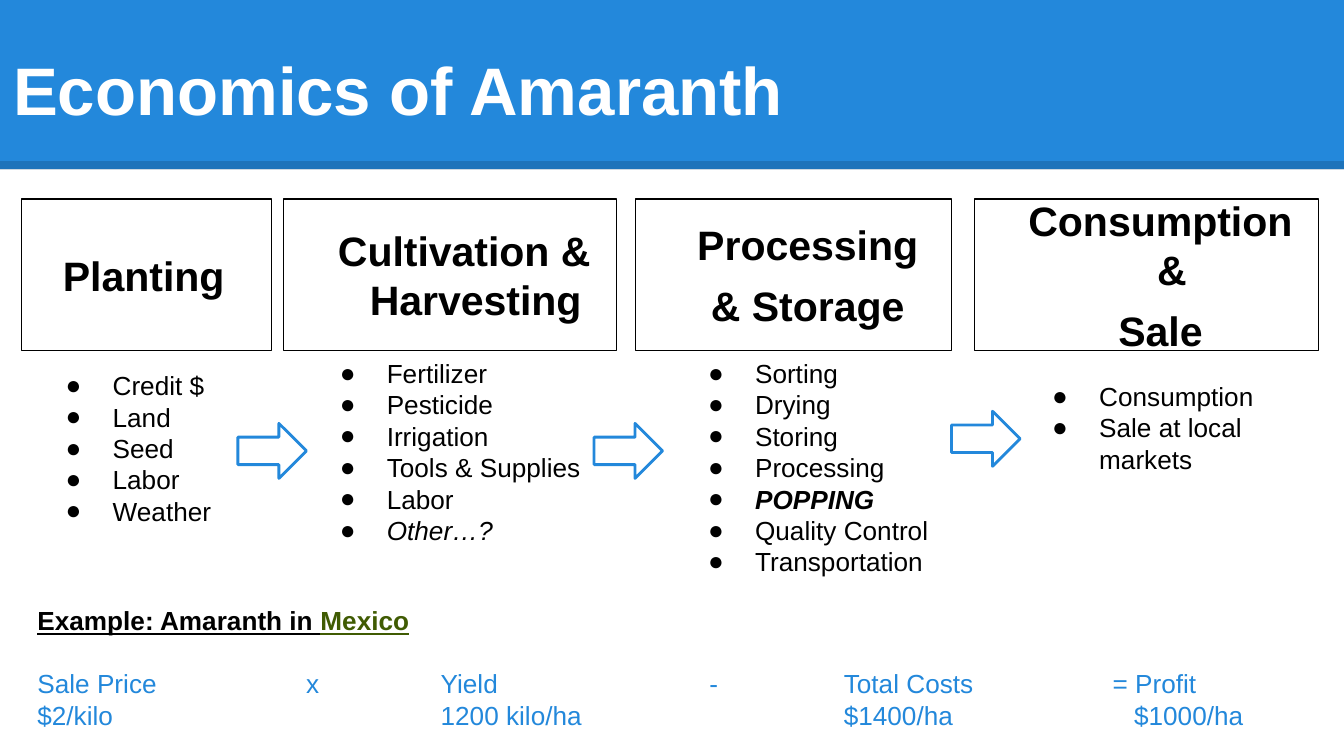
from lxml import etree
from pptx import Presentation, util as u
from pptx.dml.color import RGBColor
from pptx.enum import shapes, text
from pptx.oxml.ns import qn

PX = 9144  # EMU per px, 100 px to the inch
FONT = "Arial"
BLUE, BLACK, WHITE, GREEN = "2388DB", "000000", "FFFFFF", "405B03"
LEFT, CENTER = text.PP_ALIGN.LEFT, text.PP_ALIGN.CENTER
TOP, MIDDLE, BOTTOM = (text.MSO_ANCHOR.TOP, text.MSO_ANCHOR.MIDDLE,
                       text.MSO_ANCHOR.BOTTOM)

# Content: a line is a string, or a list of (words, format changes)
TITLE = "Economics of Amaranth"
STAGES = [
    {"heading": ["Planting"], "align": LEFT, "x": 16, "width": 186,
     "list_at": (24, 265, 177, 142),
     "items": ["Credit $", "Land", "Seed", "Labor", "Weather"]},
    {"heading": ["Cultivation & Harvesting"], "align": CENTER,
     "x": 211, "width": 248, "list_at": (228, 256, 244, 188),
     "items": ["Fertilizer", "Pesticide", "Irrigation", "Tools & Supplies",
               "Labor", [("Other…?", {"italic": True})]]},
    {"heading": ["Processing", "& Storage"], "align": CENTER,
     "x": 473, "width": 235, "list_at": (502, 256, 244, 217),
     "items": ["Sorting", "Drying", "Storing", "Processing",
               [("POPPING", {"bold": True, "italic": True})],
               "Quality Control", "Transportation"]},
    {"heading": ["Consumption &", "Sale"], "align": CENTER,
     "x": 725, "width": 256, "list_at": (758, 273, 199, 165),
     "items": ["Consumption", "Sale at local markets"]},
]
ARROWS = [(177, 315), (442, 315), (708, 306)]
EXAMPLE = [("Example: Amaranth in ", {}), ("Mexico", {"color": GREEN})]
TAB = 100
FORMULA = [  # words, last tab stop, space before
    ("Sale Price\t\tx\tYield\t\t-\tTotal Costs\t\t= Profit", 800, 17),
    ("$2/kilo\t\t\t1200 kilo/ha\t\t$1400/ha\t\t$1000/ha", 816, 0),
]


def px(value):
    return u.Emu(round(value * PX))


def rgb(code):
    return RGBColor.from_string(code)


def add_bullet(props):
    color = etree.SubElement(props, qn("a:buClr"))
    etree.SubElement(color, qn("a:srgbClr"), val=BLACK)
    etree.SubElement(props, qn("a:buFont"), typeface=FONT)
    etree.SubElement(props, qn("a:buChar"), char="●")


def add_tabs(props, stops):
    props.set("defTabSz", str(px(TAB)))
    tabs = etree.SubElement(props, qn("a:tabLst"))
    for stop in stops:
        etree.SubElement(tabs, qn("a:tab"), pos=str(px(stop)), algn="l")


def style(font, size, color, bold=False, italic=False, underline=False):
    font.name, font.size, font.color.rgb = FONT, u.Pt(size), rgb(color)
    font.bold, font.italic, font.underline = bold, italic, underline


def write(box, lines, *, size, color=BLACK, bold=False, underline=False,
          align=LEFT, anchor=TOP, margin=0, indent=0, gap=0, first_gap=0,
          bullet=False, tabs=(), more=False):
    """Fill a box with lines; more=True continues below what is there."""
    frame = box.text_frame
    frame.word_wrap, frame.vertical_anchor = True, anchor
    frame.margin_left = frame.margin_right = px(10)
    frame.margin_top = frame.margin_bottom = px(10)
    for number, line in enumerate(lines):
        fresh = number == 0 and not more
        para = frame.paragraphs[0] if fresh else frame.add_paragraph()
        para.alignment = align
        para.space_before = u.Pt(gap if number else first_gap)
        props = para._p.get_or_add_pPr()
        if indent:
            props.set("marL", str(px(margin)))
            props.set("indent", str(px(indent)))
        if bullet:
            add_bullet(props)
        if tabs:
            add_tabs(props, tabs)
        spans = [(line, {})] if isinstance(line, str) else line
        for words, changes in spans:
            span = para.add_run()
            span.text = words
            style(span.font, **{"size": size, "color": color, "bold": bold,
                                "underline": underline, **changes})


def add_box(page, *place):
    return page.shapes.add_textbox(*map(px, place))


def add_shape(page, kind, *place, fill=None, line=None, weight=1):
    shape = page.shapes.add_shape(kind, *map(px, place))
    shape.shadow.inherit = False
    if fill:
        shape.fill.solid()
        shape.fill.fore_color.rgb = rgb(fill)
    else:
        shape.fill.background()
    if line:
        shape.line.color.rgb, shape.line.width = rgb(line), u.Pt(weight)
    else:
        shape.line.fill.background()
    return shape


def add_band(page):
    add_shape(page, shapes.MSO_SHAPE.RECTANGLE, 0, 0, 1000, 126, fill=BLUE)
    rule = page.shapes.add_connector(
        shapes.MSO_CONNECTOR.STRAIGHT, px(0), px(123), px(1000), px(123))
    rule.line.color.rgb, rule.line.width = rgb(BLACK), u.Pt(4.5)
    props = rule._element.spPr
    shade = props.find(".//" + qn("a:srgbClr"))
    etree.SubElement(shade, qn("a:alpha"), val="15000")
    etree.SubElement(props, qn("a:effectLst"))
    write(add_box(page, 0, 12, 900, 94), [TITLE], size=36, color=WHITE,
          bold=True, anchor=BOTTOM)


def main():
    deck = Presentation()
    deck.slide_width = px(1000)
    deck.slide_height = deck.slide_width * 9 // 16
    page = deck.slides.add_slide(deck.slide_layouts[6])
    add_band(page)

    # Stages: framed heading with a bulleted list below
    for stage in STAGES:
        frame = add_shape(page, shapes.MSO_SHAPE.RECTANGLE, stage["x"], 148,
                          stage["width"], 113, line=BLACK, weight=0.75)
        write(frame, stage["heading"], size=22, bold=True,
              align=stage["align"], anchor=MIDDLE, margin=38, indent=-17,
              gap=6)
        write(add_box(page, *stage["list_at"]), stage["items"], size=14,
              margin=50, indent=-35, bullet=True)

    # Arrows between stages
    for x, y in ARROWS:
        add_shape(page, shapes.MSO_SHAPE.RIGHT_ARROW, x, y, 51, 41,
                  fill=WHITE, line=BLUE, weight=1.5)

    # Worked example
    example = add_box(page, 18, 440, 965, 140)
    write(example, [EXAMPLE], size=14, bold=True, underline=True)
    for words, last_stop, space in FORMULA:
        write(example, [words], size=14, color=BLUE, first_gap=space,
              tabs=[*range(TAB, 800, TAB), last_stop], more=True)

    deck.save("out.pptx")


if __name__ == "__main__":
    main()
